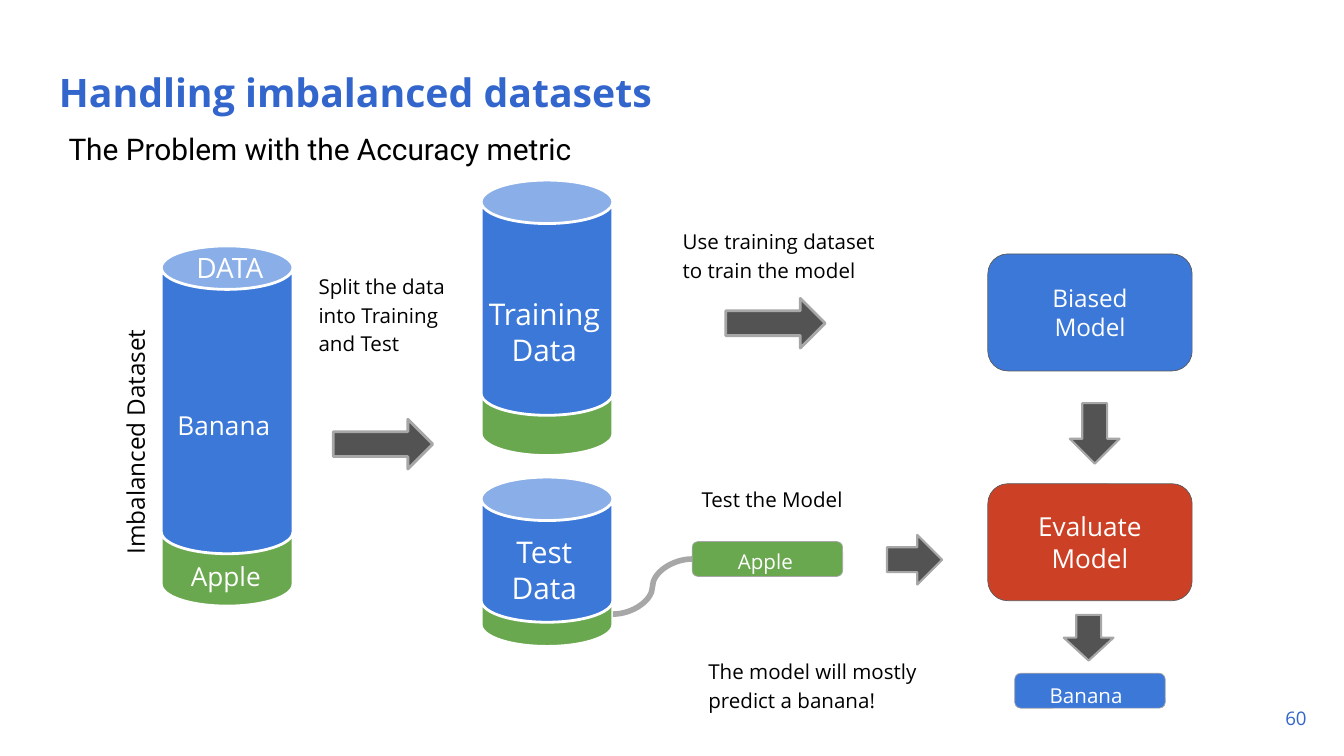
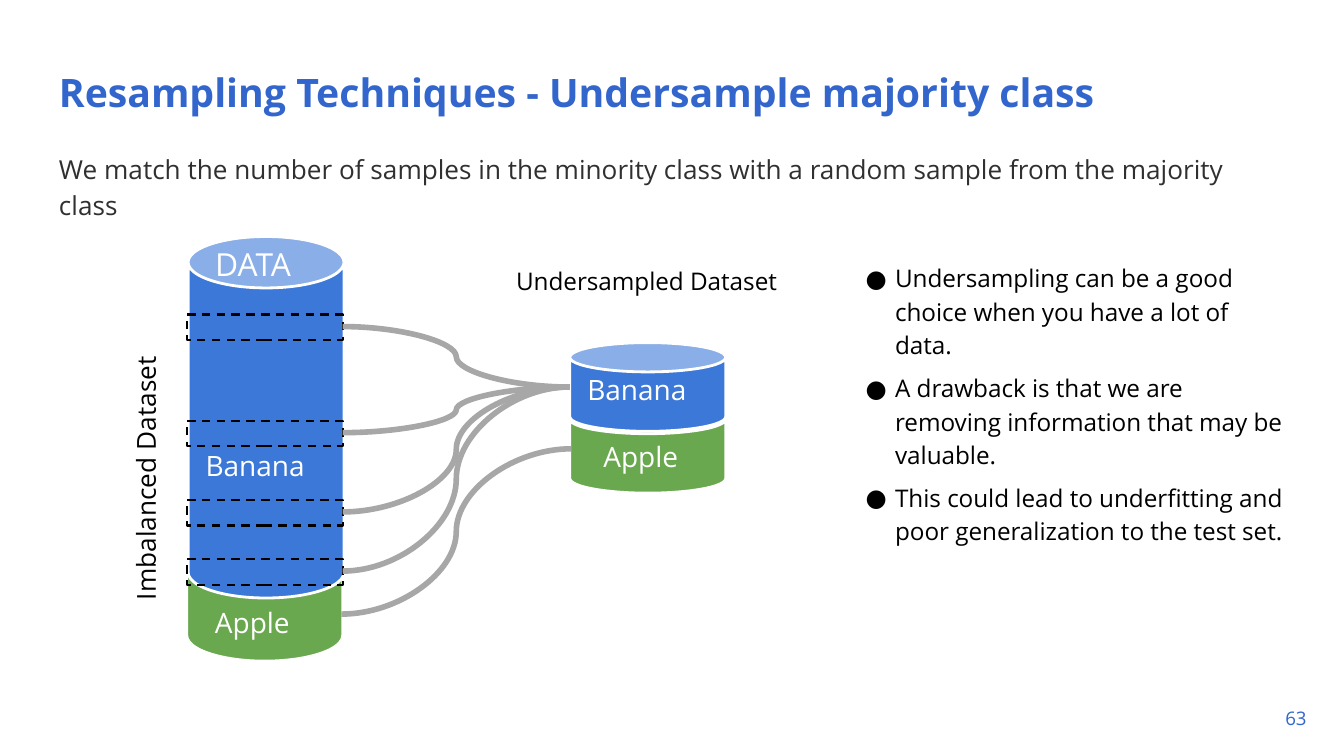
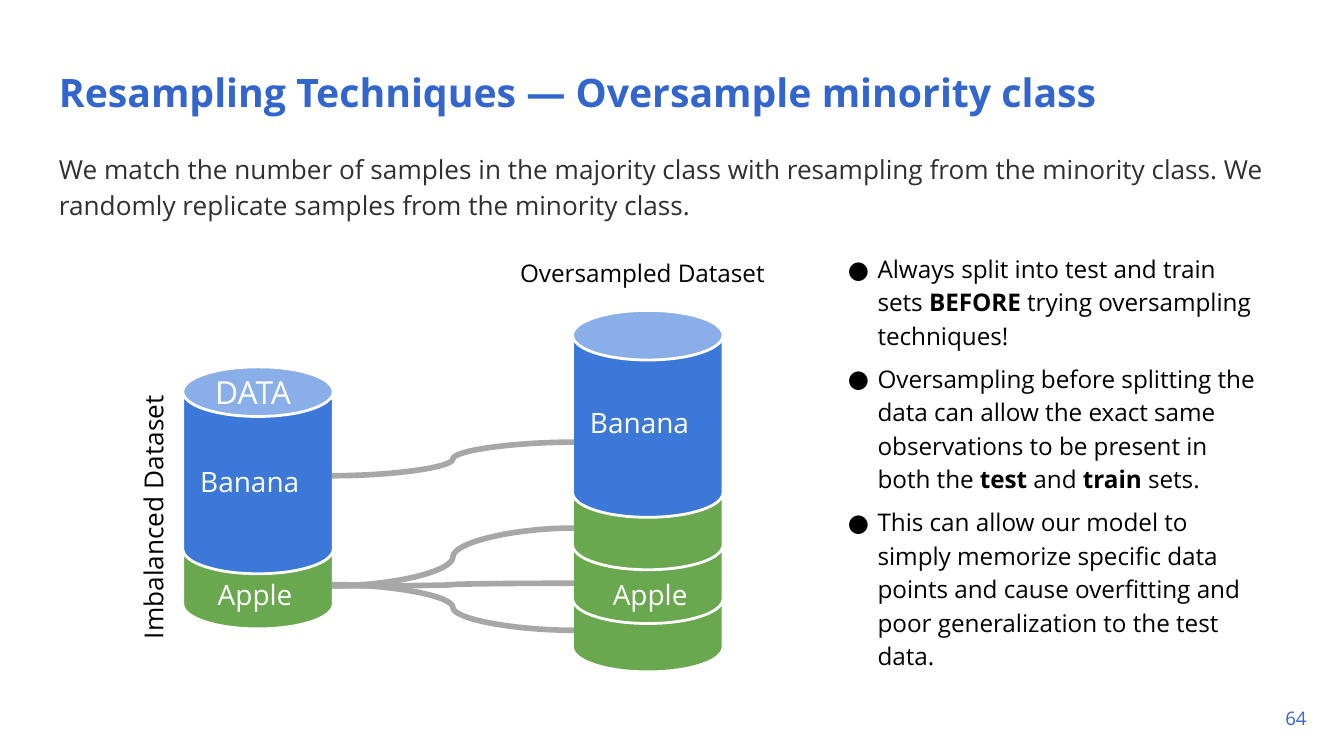
import pptx
import pptx.util
import pptx.dml.color
import pptx.enum.dml
import pptx.enum.shapes
import pptx.enum.text
import pptx.oxml.ns
from lxml import etree

# Shared look
PX = 9144  # 100 px to the inch
COLOURS = {
    "title": "3366CC", "intro": "303030", "text": "000000", "white": "FFFFFF",
    "banana": "3C78D8", "apple": "6AA84F", "evaluate": "CC4125",
    "arrow": "535353", "link": "A7A7A7", "box_line": "595959",
}
FONT = "Open Sans"
SHAPE = pptx.enum.shapes.MSO_SHAPE
ALIGN = pptx.enum.text.PP_ALIGN
ANCHOR = pptx.enum.text.MSO_ANCHOR
qn = pptx.oxml.ns.qn


def px(*lengths):
    return [pptx.util.Emu(length * PX) for length in lengths]


def colour(name):
    return pptx.dml.color.RGBColor.from_string(COLOURS[name])


# Text
def bullet(paragraph):
    properties = paragraph._p.get_or_add_pPr()
    properties.set("marL", str(25 * PX))
    properties.set("indent", str(-22 * PX))
    etree.SubElement(properties, qn("a:buFont")).set("typeface", FONT)
    etree.SubElement(properties, qn("a:buChar")).set("char", "●")


def write(shape, paragraphs, size, ink="text", font=FONT, bold=False, align=ALIGN.LEFT,
          anchor=ANCHOR.MIDDLE, spacing=None, inset=5, bullets=False):
    """Fill a shape; a paragraph given as a list alternates plain and bold runs."""
    frame = shape.text_frame
    frame.word_wrap = True
    frame.vertical_anchor = anchor
    frame.margin_left, frame.margin_top, frame.margin_right, frame.margin_bottom = px(*[inset] * 4)
    for index, pieces in enumerate(paragraphs):
        paragraph = frame.add_paragraph() if index else frame.paragraphs[0]
        if bullets:
            bullet(paragraph)
            if index:
                paragraph.space_before = pptx.util.Pt(5)
        paragraph.alignment = align
        if spacing:
            paragraph.line_spacing = spacing
        for place, words in enumerate([pieces] if isinstance(pieces, str) else pieces):
            run = paragraph.add_run()
            run.text = words
            run.font.name = font
            run.font.size = pptx.util.Pt(size)
            run.font.bold = bold or place % 2 == 1
            run.font.color.rgb = colour(ink)


def label(slide, at, paragraphs, size, turn=0, **style):
    box = slide.shapes.add_textbox(*px(*at))
    box.rotation = turn
    write(box, paragraphs, size, **style)


def caption(slide, at, words, size=11, turn=0):
    label(slide, at, [words], size, turn, spacing=1.15)


def class_name(slide, at, words, size=15):
    label(slide, at, [words], size, ink="white", anchor=ANCHOR.TOP)


def bullet_list(slide, at, points):
    label(slide, at, points, 13, anchor=ANCHOR.TOP, spacing=1.15, bullets=True)


# Shapes
def block(slide, kind, at, fill, line, width, adjust=()):
    shape = slide.shapes.add_shape(kind, *px(*at))
    shape.shadow.inherit = False
    if fill:
        shape.fill.solid()
        shape.fill.fore_color.rgb = colour(fill)
    else:
        shape.fill.background()
    shape.line.color.rgb = colour(line)
    shape.line.width = pptx.util.Pt(width)
    for index, value in enumerate(adjust):
        shape.adjustments[index] = value
    return shape


def cylinder(slide, left, width, *layers):
    """Stack cans from back to front; a layer is (fill, top, height)."""
    for fill, top, height in layers:
        block(slide, SHAPE.CAN, (left, top, width, height), fill, "white", 1.5, [0.33])


def arrow(slide, at, turn=0, width=1.13):
    block(slide, SHAPE.RIGHT_ARROW, at, "arrow", "link", width).rotation = turn


def model_box(slide, top, fill, lines, size):
    box = block(slide, SHAPE.ROUNDED_RECTANGLE, (735, top, 152, 87), fill, "box_line", 0.38, [0.17])
    write(box, lines, size, ink="white", align=ALIGN.CENTER)


def sample(slide, left, top, fill):
    block(slide, SHAPE.ROUNDED_RECTANGLE, (left, top, 112, 26), fill, "link", 0.38, [0.17])


def curve(slide, *ends):
    link = slide.shapes.add_connector(pptx.enum.shapes.MSO_CONNECTOR.CURVE, *px(*ends))
    link.line.color.rgb = colour("link")
    link.line.width = pptx.util.Pt(3)
    etree.SubElement(link._element.spPr, qn("a:effectLst"))


# Slides
def new_slide(deck, title, number, intro=None):
    slide = deck.slides.add_slide(deck.slide_layouts[6])
    label(slide, (34, 32, 877, 60), [title], 21, ink="title", bold=True,
          anchor=ANCHOR.TOP, spacing=1.25, inset=10)
    if intro:
        label(slide, (34, 101, 932, 74), [intro], 14, ink="intro",
              anchor=ANCHOR.TOP, spacing=1.15, inset=10)
    label(slide, (922, 523, 60, 23), [number], 10, ink="title", align=ALIGN.RIGHT, inset=10)
    return slide


def accuracy_slide(deck):
    slide = new_slide(deck, "Handling imbalanced datasets", "60")
    label(slide, (46, 92, 418, 45), ["The Problem with the Accuracy metric"], 16,
          font="Roboto", anchor=ANCHOR.TOP)

    # Full data set
    cylinder(slide, 120, 98, ("apple", 184, 267), ("banana", 183, 229))
    label(slide, (132, 171, 78, 56), ["DATA"], 15, ink="white", align=ALIGN.CENTER)
    class_name(slide, (127, 300, 85, 36), "Banana", 14)
    class_name(slide, (137, 412, 74, 36), "Apple", 14)
    caption(slide, (-2, 296, 202, 41), "Imbalanced Dataset", 13, 270)

    # Split into training and test
    caption(slide, (232, 197, 112, 72), "Split the data into Training and Test")
    arrow(slide, (248, 312, 74, 37), width=1.5)
    cylinder(slide, 358, 98, ("apple", 135, 204), ("banana", 134, 175))
    cylinder(slide, 358, 98, ("apple", 357, 124), ("banana", 355, 108))
    for part, top, height in (("Training", 171, 152), ("Test", 380, 88)):
        label(slide, (329, top, 152, height), [part, "Data"], 16, ink="white", align=ALIGN.CENTER)

    # Train and evaluate
    caption(slide, (503, 153, 164, 72), "Use training dataset to train the model")
    arrow(slide, (540, 222, 74, 37), width=1.5)
    model_box(slide, 189, "banana", ["Biased", "Model"], 13)
    arrow(slide, (792, 304, 45, 37), 90)
    model_box(slide, 360, "evaluate", ["Evaluate", "Model"], 14)

    # Test sample and prediction
    caption(slide, (517, 288, 126, 164), "Test the Model")
    sample(slide, 515, 403, "apple")
    label(slide, (544, 403, 89, 26), ["Apple"], 11, ink="white", spacing=1.15)
    curve(slide, 456, 457, 515, 416)
    arrow(slide, (660, 398, 41, 37))
    arrow(slide, (793, 456, 34, 37), 90)
    sample(slide, 755, 501, "banana")
    label(slide, (776, 503, 85, 26), ["Banana"], 11, ink="white", spacing=1.15)
    caption(slide, (522, 478, 179, 62), "The model will mostly predict a banana!")


def undersample_slide(deck):
    slide = new_slide(
        deck, "Resampling Techniques - Undersample majority class", "63",
        "We match the number of samples in the minority class with a random sample "
        "from the majority class")

    # Imbalanced data
    cylinder(slide, 139, 116, ("apple", 178, 314))
    cylinder(slide, 140, 116, ("banana", 176, 269))
    label(slide, (155, 163, 91, 66), ["DATA"], 17, ink="white")
    class_name(slide, (155, 446, 86, 42), "Apple")
    caption(slide, (-12, 309, 237, 48), "Imbalanced Dataset", 14, 270)

    # Undersampled data
    caption(slide, (379, 179, 205, 56), "Undersampled Dataset", 13)
    cylinder(slide, 424, 116, ("apple", 301, 66), ("banana", 255, 66))

    # Random samples and their links
    for top in (234, 313, 372, 416):
        picked = block(slide, SHAPE.RECTANGLE, (139, top, 116, 19), None, "text", 1.13)
        picked.line.dash_style = pptx.enum.dml.MSO_LINE.DASH
        curve(slide, 255, top + 9, 424, 288)
    curve(slide, 254, 457, 425, 334)
    class_name(slide, (148, 329, 100, 42), "Banana")
    class_name(slide, (432, 272, 100, 42), "Banana")
    class_name(slide, (444, 322, 86, 42), "Apple")

    bullet_list(slide, (636, 188, 329, 240), [
        "Undersampling can be a good choice when you have a lot of data.",
        "A drawback is that we are removing information that may be valuable.",
        "This could lead to underfitting and poor generalization to the test set.",
    ])


def oversample_slide(deck):
    slide = new_slide(
        deck, "Resampling Techniques — Oversample minority class", "64",
        "We match the number of samples in the majority class with resampling from the "
        "minority class. We randomly replicate samples from the minority class.")

    # Imbalanced data
    cylinder(slide, 136, 112, ("apple", 275, 193), ("banana", 273, 154))
    label(slide, (155, 259, 88, 65), ["DATA"], 17, ink="white")
    class_name(slide, (144, 341, 96, 41), "Banana")
    class_name(slide, (157, 425, 84, 41), "Apple")
    caption(slide, (-4, 341, 232, 47), "Imbalanced Dataset", 14, 270)

    # Oversampled data
    caption(slide, (382, 181, 198, 41), "Oversampled Dataset", 13)
    cylinder(slide, 426, 112, ("apple", 346, 154), ("apple", 310, 154),
             ("apple", 270, 154), ("banana", 231, 154))
    class_name(slide, (434, 297, 96, 41), "Banana")

    # Links from each class to its resampled layers
    for start, end in ((354, 329), (436, 393), (436, 434), (435, 469)):
        curve(slide, 247, start, 427, end)
    class_name(slide, (451, 425, 84, 41), "Apple")

    bullet_list(slide, (623, 181, 324, 335), [
        ["Always split into test and train sets ", "BEFORE", " trying oversampling techniques!"],
        ["Oversampling before splitting the data can allow the exact same observations "
         "to be present in both the ", "test", " and ", "train", " sets."],
        "This can allow our model to simply memorize specific data points and cause "
        "overfitting and poor generalization to the test data.",
    ])


def main():
    deck = pptx.Presentation()
    deck.slide_width = px(1000)[0]
    deck.slide_height = deck.slide_width * 9 // 16
    accuracy_slide(deck)
    undersample_slide(deck)
    oversample_slide(deck)
    deck.save("out.pptx")


if __name__ == "__main__":
    main()
